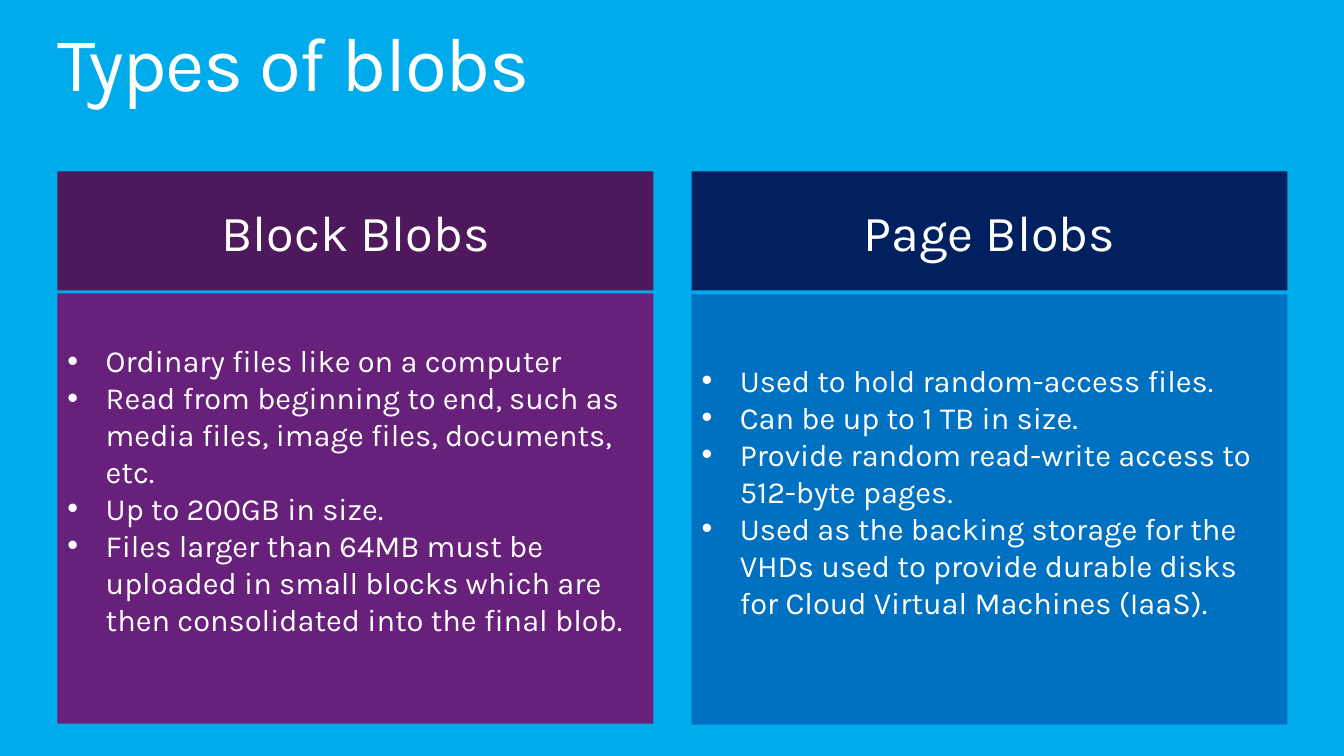
import pptx
import pptx.dml.color
import pptx.enum.shapes
import pptx.enum.text
import pptx.oxml
import pptx.oxml.ns
import pptx.util

Inches, Pt = pptx.util.Inches, pptx.util.Pt
RGB = pptx.dml.color.RGBColor.from_string
ALIGN = pptx.enum.text.PP_ALIGN
ANCHOR = pptx.enum.text.MSO_ANCHOR

THEME = {
    "font": "Karla",
    "background": "00ABEB",
    "text": "FFFFFF",
    "title_size": 54.6,
    "heading_size": 36,
    "body_size": 22,
    "block": {"heading": "4D195C", "body": "67217A"},
    "page": {"heading": "002060", "body": "0070C0"},
}

COLUMNS = [
    ("block", 0.57, 2.91, "Block Blobs", [
        "Ordinary files like on a computer",
        "Read from beginning to end, such as media files, image files, documents, etc.",
        "Up to 200GB in size.",
        "Files larger than 64MB must be uploaded in small blocks which are then consolidated into the final blob.",
    ]),
    ("page", 6.86, 2.92, "Page Blobs", [
        "Used to hold random-access files.",
        "Can be up to 1 TB in size.",
        "Provide random read-write access to 512-byte pages.",
        "Used as the backing storage for the VHDs used to provide durable disks for Cloud Virtual Machines (IaaS).",
    ]),
]


def write(tf, lines, size, align=ALIGN.LEFT, **frame):
    """Fill a text frame with one paragraph per line and return the paragraphs."""
    for name, value in {"word_wrap": True, **frame}.items():
        setattr(tf, name, value)
    for i, line in enumerate(lines):
        p = tf.add_paragraph() if i else tf.paragraphs[0]
        p.alignment = align
        r = p.add_run()
        r.text = line
        for name, value in {"name": THEME["font"], "size": Pt(size)}.items():
            setattr(r.font, name, value)
        r.font.color.rgb = RGB(THEME["text"])
    return tf.paragraphs


def add_panel(s, left, top, height, color):
    sp = s.shapes.add_shape(pptx.enum.shapes.MSO_SHAPE.RECTANGLE, Inches(left),
                            Inches(top), Inches(5.91), Inches(height))
    sp.shadow.inherit = False
    sp.fill.solid()
    sp.fill.fore_color.rgb = RGB(color)
    sp.line.fill.background()
    return sp.text_frame


prs = pptx.Presentation()
prs.slide_width, prs.slide_height = Inches(13.33), Inches(7.5)
s = prs.slides.add_slide(prs.slide_layouts[6])
s.background.fill.solid()
s.background.fill.fore_color.rgb = RGB(THEME["background"])

title = s.shapes.add_textbox(Inches(0.57), Inches(0.25), Inches(12.2), Inches(0.83))
margins = dict.fromkeys(("margin_left", "margin_top", "margin_right", "margin_bottom"), 0)
p = write(title.text_frame, ["Types of blobs"], THEME["title_size"], **margins)[0]
p.line_spacing = 0.9
p.runs[0].font._element.set("spc", "-100")

for key, left, body_top, heading, bullets in COLUMNS:
    tf = add_panel(s, left, body_top, 4.27, THEME[key]["body"])
    # The deeper bottom margin lifts the list above the panel's centre.
    for p in write(tf, bullets, THEME["body_size"],
                   vertical_anchor=ANCHOR.MIDDLE, margin_bottom=Inches(0.42)):
        pPr = p._p.get_or_add_pPr()
        pPr.set("marL", str(Inches(0.38)))
        pPr.set("indent", str(-Inches(0.38)))
        ns = pptx.oxml.ns.nsdecls("a")
        pPr.append(pptx.oxml.parse_xml(f'<a:buFont {ns} typeface="Arial"/>'))
        pPr.append(pptx.oxml.parse_xml(f'<a:buChar {ns} char="•"/>'))

    tf = add_panel(s, left, 1.7, 1.18, THEME[key]["heading"])
    write(tf, [heading], THEME["heading_size"], ALIGN.CENTER, vertical_anchor=ANCHOR.MIDDLE)

prs.save("out.pptx")
